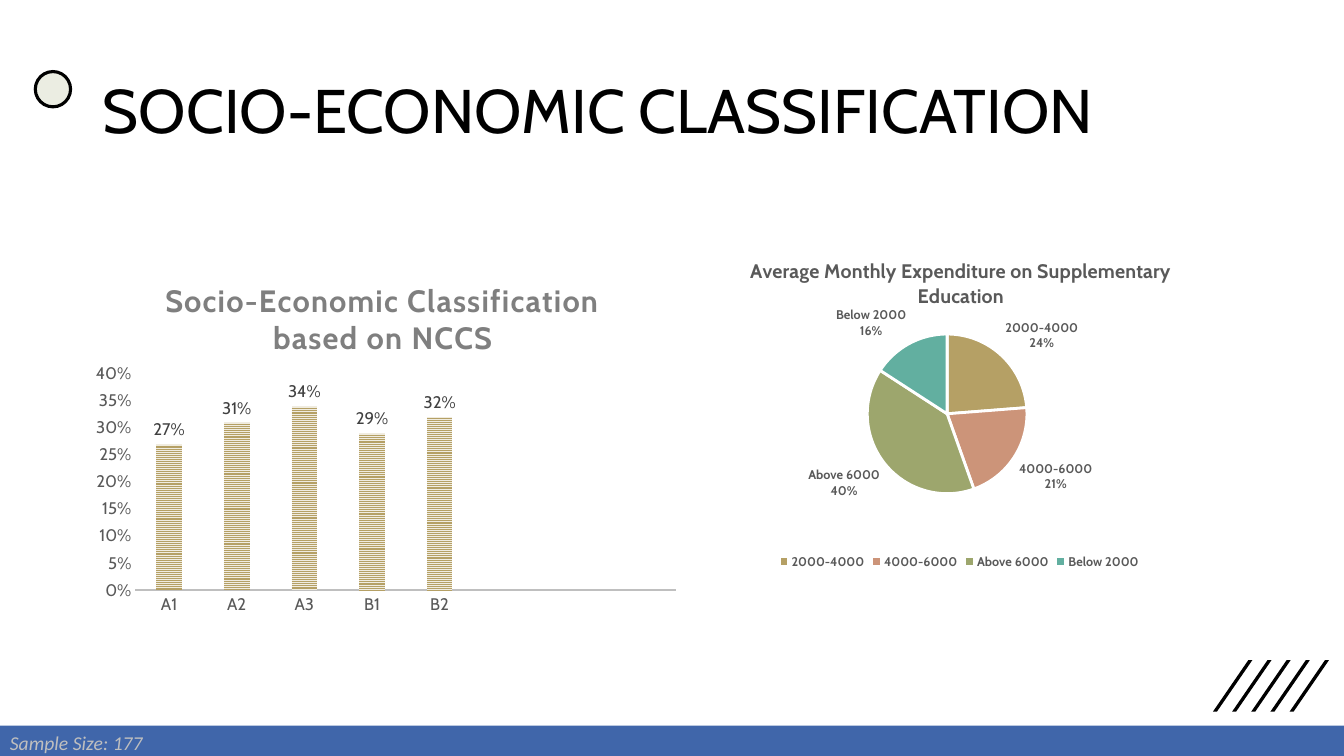
from dataclasses import dataclass

from lxml import etree
from pptx import Presentation
from pptx.chart.chart import Chart
from pptx.chart.data import CategoryChartData
from pptx.dml.color import RGBColor
from pptx.enum.chart import XL_CHART_TYPE as ChartType
from pptx.enum.chart import XL_LABEL_POSITION as LabelPos
from pptx.enum.chart import XL_LEGEND_POSITION as LegendPos
from pptx.enum.chart import XL_TICK_MARK as TickMark
from pptx.enum.dml import MSO_PATTERN
from pptx.enum.shapes import MSO_SHAPE as Shape
from pptx.enum.text import MSO_ANCHOR as Anchor
from pptx.enum.text import MSO_AUTO_SIZE as AutoSize
from pptx.enum.text import PP_ALIGN as Align
from pptx.oxml.ns import qn
from pptx.slide import Slide
from pptx.text.text import Font
from pptx.util import Pt

PX = 9144  # EMU per px, 100 px to the inch

BLACK = RGBColor(0x00, 0x00, 0x00)
WHITE = RGBColor(0xFF, 0xFF, 0xFF)
IVORY = RGBColor(0xEB, 0xED, 0xE2)
BLUE = RGBColor(0x40, 0x66, 0xAA)
SILVER = RGBColor(0xBF, 0xBF, 0xBF)
GREY = RGBColor(0x7F, 0x7F, 0x7F)
DARK_GREY = RGBColor(0x59, 0x59, 0x59)
CHARCOAL = RGBColor(0x40, 0x40, 0x40)
CREAM = RGBColor(0xF0, 0xEC, 0xE0)
GOLD = RGBColor(0xB5, 0xA0, 0x65)
SALMON = RGBColor(0xCC, 0x94, 0x79)
OLIVE = RGBColor(0x9D, 0xA6, 0x6D)
TEAL = RGBColor(0x62, 0xAF, 0xA0)


@dataclass(frozen=True)
class Box:
    left: int
    top: int
    width: int
    height: int

    def emu(self) -> tuple[int, ...]:
        return tuple(v * PX for v in (self.left, self.top, self.width, self.height))


@dataclass(frozen=True)
class ChartPanel:
    """A chart; title_at and plot_at are fractions of its box."""
    kind: ChartType
    box: Box
    cats: tuple[str, ...]
    vals: tuple[float | None, ...]
    title: str
    title_size: int
    title_color: RGBColor
    title_at: tuple[float, ...]
    plot_at: tuple[float, ...]


EXPENDITURE = ChartPanel(
    ChartType.PIE, Box(650, 239, 603, 330),
    ("2000-4000", "4000-6000", "Above 6000", "Below 2000"), (24, 21, 40, 16),
    "Average Monthly Expenditure on Supplementary Education", 14, DARK_GREY,
    (0.15, 0.04), (0.07, 0.28, 0.82, 0.48))
CLASSES = ChartPanel(
    ChartType.COLUMN_CLUSTERED, Box(80, 250, 603, 365),
    ("A1", "A2", "A3", "B1", "B2", "", "", ""),
    (0.27, 0.31, 0.34, 0.29, 0.32, None, None, None),
    "Socio-Economic Classification based on NCCS", 22, GREY,
    (0.13, 0.06), (0.09, 0.33, 0.89, 0.59))


def style_font(font: Font, color: RGBColor, size: int, **extra) -> None:
    for name, value in {"name": "Cabin", "size": Pt(size), **extra}.items():
        setattr(font, name, value)
    font.color.rgb = color


def manual_layout(at: tuple[float, ...], inner: bool = False) -> etree._Element:
    layout = etree.Element(qn("c:layout"))
    manual = etree.SubElement(layout, qn("c:manualLayout"))
    settings = {"layoutTarget": "inner"} if inner else {}
    settings |= {"xMode": "edge", "yMode": "edge"}
    settings |= dict(zip("xywh", at))
    for tag, value in settings.items():
        etree.SubElement(manual, qn(f"c:{tag}")).set("val", str(value))
    return layout


def add_panel(s: Slide, panel: ChartPanel) -> Chart:
    data = CategoryChartData()
    data.categories = panel.cats
    data.add_series("Series 1", panel.vals)
    chart = s.shapes.add_chart(panel.kind, *panel.box.emu(), data).chart
    style_font(chart.font, BLACK, 10)
    chart.has_legend = False
    chart.has_title = True
    title = chart.chart_title
    p = title.text_frame.paragraphs[0]
    r = p.add_run()
    r.text = panel.title
    style_font(r.font, panel.title_color, panel.title_size, bold=True)
    area = chart.element.xpath("c:chart/c:plotArea")[0]
    for parent in (title.element, area):
        for old in parent.findall(qn("c:layout")):
            parent.remove(old)
    title.element.find(qn("c:tx")).addnext(manual_layout(panel.title_at))
    area.insert(0, manual_layout(panel.plot_at, inner=True))
    return chart


def add_expenditure_pie(s: Slide) -> None:
    chart = add_panel(s, EXPENDITURE)
    chart.has_legend = True
    chart.legend.position = LegendPos.BOTTOM
    chart.legend.include_in_layout = False
    style_font(chart.legend.font, DARK_GREY, 9, bold=True)
    plot = chart.plots[0]
    for i, color in enumerate((GOLD, SALMON, OLIVE, TEAL)):
        fmt = plot.series[0].points[i].format
        fmt.fill.solid()
        fmt.fill.fore_color.rgb = color
        fmt.line.color.rgb = WHITE
        fmt.line.width = Pt(2)
    plot.has_data_labels = True
    labels = plot.data_labels
    style_font(labels.font, DARK_GREY, 9, bold=True)
    for name, value in {"show_value": False, "show_percentage": True,
                        "show_category_name": True,
                        "position": LabelPos.OUTSIDE_END}.items():
        setattr(labels, name, value)
    separator = etree.Element(qn("c:separator"))
    separator.text = "\n"
    chart.element.xpath(".//c:dLbls/c:showBubbleSize")[0].addnext(separator)


def add_class_columns(s: Slide) -> None:
    chart = add_panel(s, CLASSES)
    chart.chart_title.element.xpath(".//a:r/a:rPr")[0].set("spc", "100")
    for axis in (chart.category_axis, chart.value_axis):
        axis.has_major_gridlines = False
        axis.major_tick_mark = axis.minor_tick_mark = TickMark.NONE
        style_font(axis.tick_labels.font, DARK_GREY, 12)
    chart.category_axis.format.line.color.rgb = SILVER
    chart.category_axis.format.line.width = Pt(1.5)
    value_axis = chart.value_axis
    value_axis.format.line.fill.background()
    for name, value in {"minimum_scale": 0, "maximum_scale": 0.4,
                        "major_unit": 0.05}.items():
        setattr(value_axis, name, value)
    plot = chart.plots[0]
    for name, value in {"gap_width": 164, "overlap": -22,
                        "vary_by_categories": False,
                        "has_data_labels": True}.items():
        setattr(plot, name, value)
    fill = plot.series[0].format.fill
    fill.patterned()
    fill.pattern = MSO_PATTERN.NARROW_HORIZONTAL
    fill.fore_color.rgb = GOLD
    fill.back_color.rgb = CREAM
    style_font(plot.data_labels.font, CHARCOAL, 12)
    plot.data_labels.position = LabelPos.OUTSIDE_END
    for labels in (value_axis.tick_labels, plot.data_labels):
        labels.number_format = "0%"
        labels.number_format_is_linked = False


def paint(sp, color: RGBColor) -> None:
    """Give a shape a plain fill with no line or shadow."""
    sp.shadow.inherit = False
    sp.fill.solid()
    sp.fill.fore_color.rgb = color
    sp.line.fill.background()


def add_slashes(s: Slide) -> None:
    for left in range(1203, 1203 + 5 * 19, 19):
        builder = s.shapes.build_freeform(left + 4, 706, scale=PX)
        builder.add_line_segments([(left, 706), (left + 35, 655), (left + 39, 655)])
        paint(builder.convert_to_shape(), BLACK)


def add_title(s: Slide) -> None:
    title = s.shapes.title
    title.left, title.top, title.width, title.height = Box(92, 40, 1150, 145).emu()
    tf = title.text_frame
    tf.text = "SOCIO-ECONOMIC CLASSIFICATION"
    tf.auto_size = AutoSize.NONE
    tf.vertical_anchor = Anchor.MIDDLE
    p = tf.paragraphs[0]
    p.alignment = Align.LEFT
    p.line_spacing = 0.9
    style_font(p.runs[0].font, BLACK, 44)


def add_sample_bar(s: Slide) -> None:
    bar = s.shapes.add_shape(Shape.RECTANGLE, *Box(0, 720, 1333, 34).emu())
    paint(bar, BLUE)
    bar.text_frame.text = "Sample Size: 177"
    p = bar.text_frame.paragraphs[0]
    p.alignment = Align.LEFT
    style_font(p.runs[0].font, SILVER, 14, name="Calibri", italic=True)


def main() -> None:
    prs = Presentation()
    prs.slide_width, prs.slide_height = 1333 * PX, 750 * PX
    s = prs.slides.add_slide(prs.slide_layouts.get_by_name("Title Only"))
    add_slashes(s)
    circle = s.shapes.add_shape(Shape.OVAL, *Box(35, 71, 35, 35).emu())
    paint(circle, IVORY)
    circle.line.color.rgb = BLACK
    circle.line.width = Pt(2.25)
    add_title(s)
    add_expenditure_pie(s)
    add_class_columns(s)
    add_sample_bar(s)
    prs.save("out.pptx")


if __name__ == "__main__":
    main()
